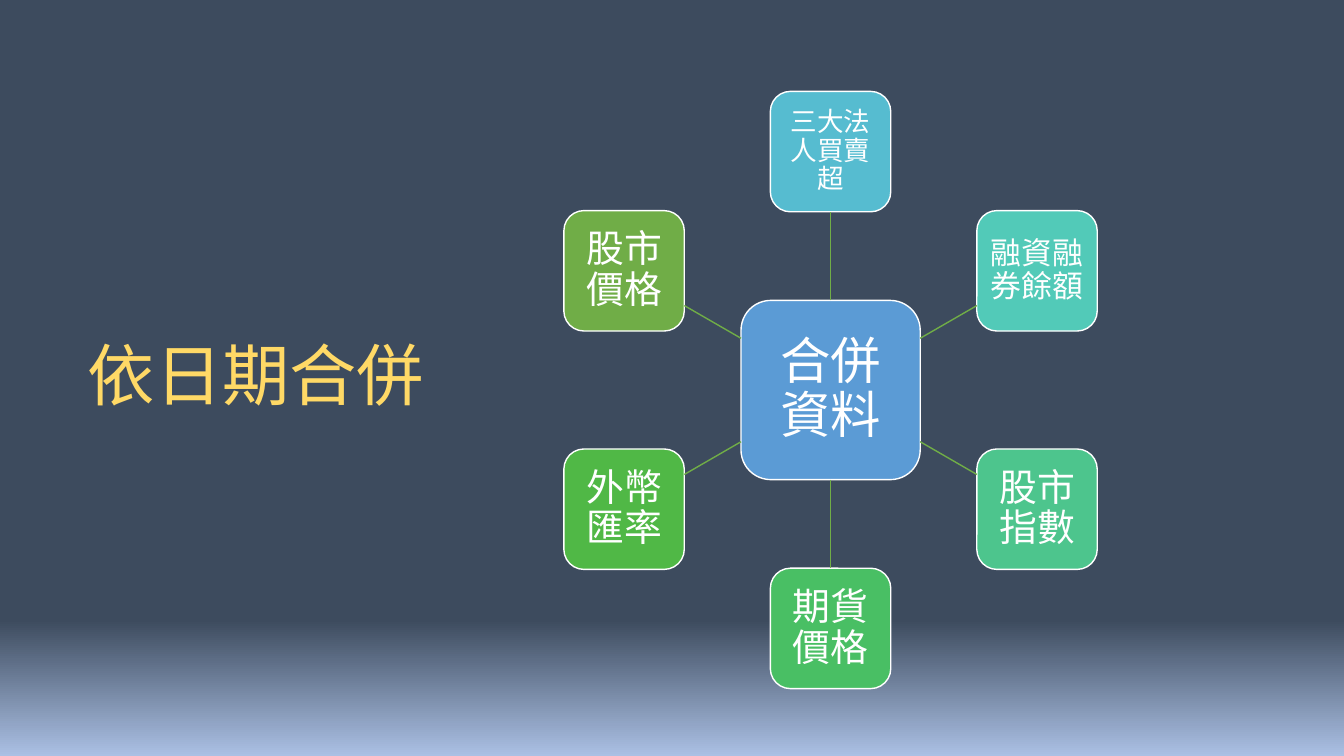
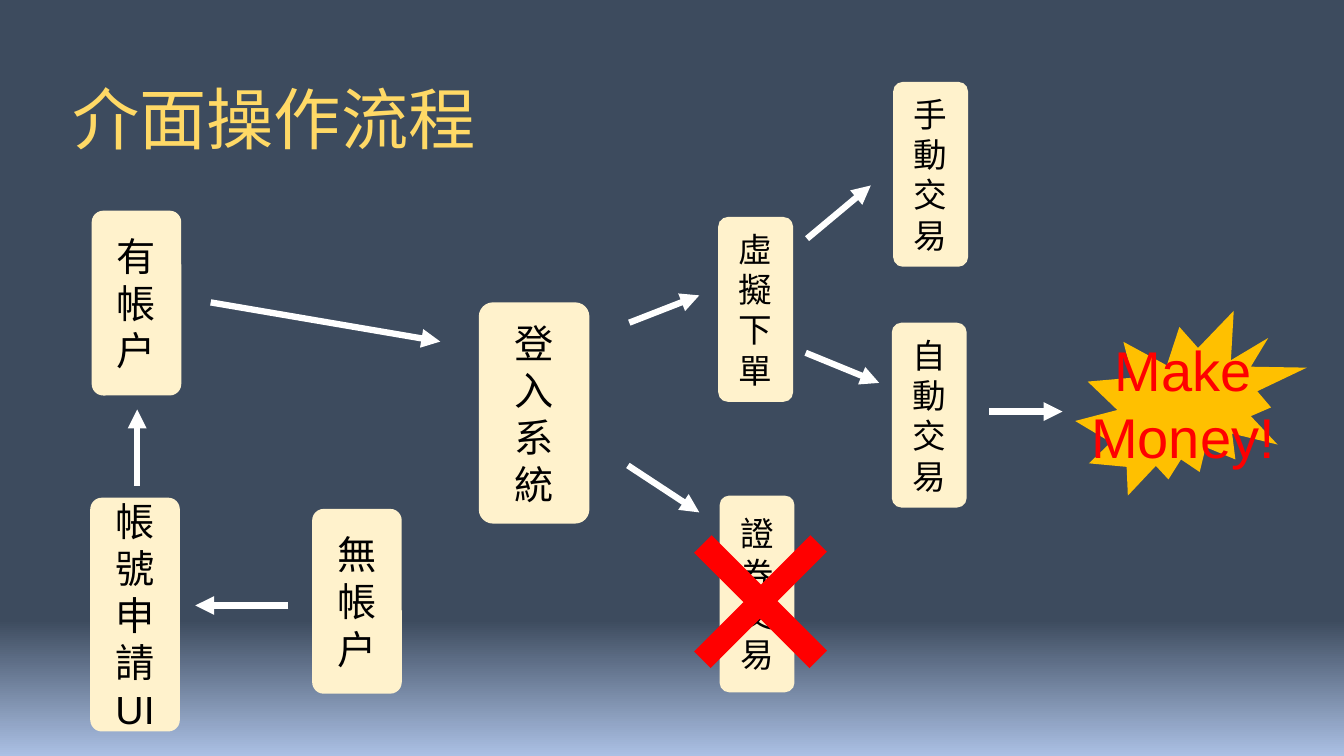
import dataclasses
import math

import pptx
import pptx.dml.color
import pptx.enum.shapes
import pptx.enum.text
import pptx.oxml.ns
import pptx.oxml.xmlchemy
import pptx.util
from lxml import etree

Pt = pptx.util.Pt
Shape = pptx.enum.shapes.MSO_SHAPE
Color = pptx.dml.color.RGBColor.from_string
qn = pptx.oxml.ns.qn


@dataclasses.dataclass(frozen=True)
class Theme:
    background: str = "3D4B5E"
    glow: str = "ABC0E4"
    title: str = "FFD966"
    white: str = "FFFFFF"
    black: str = "000000"
    red: str = "FF0000"
    hub: str = "5B9BD5"
    spoke: str = "70AD47"
    step: str = "FFF2CC"
    burst: str = "FFC000"
    font: str = "Arial"
    hub_font: str = "Calibri"
    chinese_font: str = "Noto Sans CJK TC"
    title_size: int = 48
    hub_size: int = 36
    burst_size: int = 40
    large_step: int = 28
    small_step: int = 24


theme = Theme()


def style_text(frame, size, color, font=theme.font, spacing=1.0):
    """Format every run of a centred, wrapping text frame."""
    frame.word_wrap = True
    frame.auto_size = pptx.enum.text.MSO_AUTO_SIZE.NONE
    frame.vertical_anchor = pptx.enum.text.MSO_ANCHOR.MIDDLE
    for para in frame.paragraphs:
        para.alignment = pptx.enum.text.PP_ALIGN.CENTER
        para.line_spacing = spacing
        for span in para.runs:
            span.font.size = Pt(size)
            span.font.name = font
            span.font.color.rgb = Color(color)
            properties = span.font._element
            etree.SubElement(properties, qn("a:ea"), typeface=theme.chinese_font)


def add_block(page, kind, bounds, fill):
    """Add a flat filled shape without outline; bounds are in points."""
    block = page.shapes.add_shape(kind, *map(Pt, bounds))
    block.shadow.inherit = False
    block.fill.solid()
    block.fill.fore_color.rgb = Color(fill)
    block.line.fill.background()
    return block


# Deck and shared background
deck = pptx.Presentation()
deck.slide_width, deck.slide_height = Pt(960), Pt(540)
background = deck.slide_master.background.fill
background.gradient()
background.gradient_angle = 270
for stop, color, position in zip(
    background.gradient_stops, (theme.background, theme.glow), (0.82, 1)
):
    stop.color.rgb = Color(color)
    stop.position = position

# Pages with their titles
pages = []
for text, bounds in (
    ("依日期合併", (25, 223, 315.5, 94.5)),
    ("介面操作流程", (34.5, 40.5, 322.5, 94.5)),
):
    page = deck.slides.add_slide(deck.slide_layouts[5])
    title = page.shapes.title
    title.left, title.top, title.width, title.height = map(Pt, bounds)
    title.text_frame.text = text
    style_text(title.text_frame, theme.title_size, theme.title, theme.chinese_font, 0.9)
    pages.append(page)
merge_page, flow_page = pages

# Merge diagram: a hub with six sources around it, clockwise from the top
center_x, center_y, radius = 593.3, 278.6, 170.3
hub_side, source_side = 128, 86
sources = [
    ("三大法人買賣超", 19, "56BCD0"),
    ("融資融券餘額", 22, "52CAB8"),
    ("股市指數", 27, "4DC58D"),
    ("期貨價格", 27, "49BF64"),
    ("外幣匯率", 27, "50B846"),
    ("股市價格", 27, "70AD47"),
]
nodes = [(center_x, center_y, hub_side, "合併資料", theme.hub_size, theme.hub, theme.hub_font)]
spokes = []
for index, (text, size, fill) in enumerate(sources):
    angle = math.radians(index * 360 / len(sources) - 90)
    across, down = math.cos(angle), math.sin(angle)
    nodes.append((center_x + radius * across, center_y + radius * down,
                  source_side, text, size, fill, theme.font))
    # The spoke runs between the facing edges of the two squares
    reach = max(abs(across), abs(down))
    start = hub_side / 2 / reach
    end = radius - source_side / 2 / reach
    spokes.append((center_x + start * across, center_y + start * down,
                   center_x + end * across, center_y + end * down))

for x, y, side, text, size, fill, font in nodes:
    node = add_block(merge_page, Shape.ROUNDED_RECTANGLE,
                     (x - side / 2, y - side / 2, side, side), fill)
    node.line.color.rgb = Color(theme.white)
    node.line.width = Pt(1)
    frame = node.text_frame
    frame.text = text
    inset = Pt(size * 0.19)
    frame.margin_left = frame.margin_right = inset
    frame.margin_top = frame.margin_bottom = inset
    style_text(frame, size, theme.white, font, 0.9)

# Flow steps
steps = [
    ("登\n入\n系\n統", (342, 216, 79, 158), theme.large_step),
    ("有\n帳\n戶", (65.5, 150.5, 64, 132), theme.large_step),
    ("無\n帳\n戶", (223, 363.5, 64, 132), theme.large_step),
    ("帳號申請UI", (64.5, 355.5, 64, 167), theme.large_step),
    ("虛\n擬\n下\n單", (513, 155, 53.5, 132), theme.small_step),
    ("證\n券\n交\n易", (514, 354, 53.5, 140.5), theme.small_step),
    ("自動交易", (637, 230.5, 53.5, 132), theme.small_step),
    ("手動交易", (638, 58.5, 53.5, 132), theme.small_step),
]
for text, bounds, size in steps:
    step = add_block(flow_page, Shape.ROUNDED_RECTANGLE, bounds, theme.step)
    step.adjustments[0] = 0.128
    step.text_frame.text = text
    style_text(step.text_frame, size, theme.black)

# Spokes of the merge diagram and arrows of the flow
arrows = [
    (150.5, 216, 314.5, 244),
    (206, 432.5, 139.5, 432.5),
    (98, 347, 98, 292.5),
    (449.5, 230.5, 499.5, 211),
    (448.5, 332.5, 499.5, 366),
    (576.5, 170.5, 622, 132.5),
    (575.5, 252, 628, 273.5),
    (706.5, 294, 759, 294),
]
for page, lines, color, width, head in (
    (merge_page, spokes, theme.spoke, 1, "none"),
    (flow_page, arrows, theme.white, 4.5, "triangle"),
):
    for ends in lines:
        link = page.shapes.add_connector(
            pptx.enum.shapes.MSO_CONNECTOR.STRAIGHT, *map(Pt, ends)
        )
        link.line.color.rgb = Color(color)
        link.line.width = Pt(width)
        properties = link._element.spPr
        etree.SubElement(properties.find(qn("a:ln")), qn("a:tailEnd"), type=head)
        etree.SubElement(properties, qn("a:effectLst"))

# Cross over the unavailable step
cross = add_block(flow_page, Shape.CROSS, (484.5, 371.5, 117.5, 116.5), theme.red)
cross.adjustments[0] = 0.428
cross.rotation = 315

# Burst with its slogan
add_block(flow_page, Shape.EXPLOSION2, (768, 222, 165.5, 132), theme.burst)
slogan = flow_page.shapes.add_textbox(*map(Pt, (756.5, 235.5, 177, 104.5)))
slogan.text_frame.text = "Make\nMoney!"
style_text(slogan.text_frame, theme.burst_size, theme.red)

deck.save("out.pptx")
